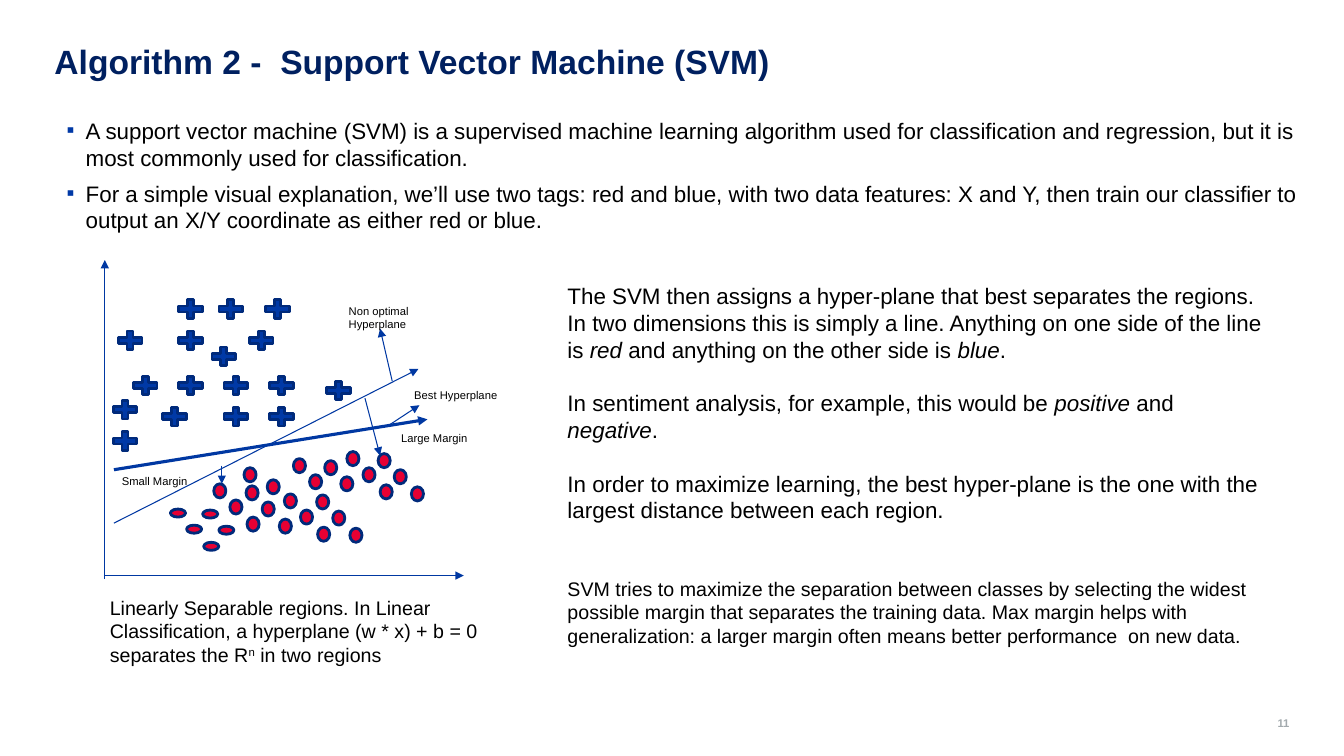
from lxml import etree
from pptx import Presentation
from pptx.dml.color import RGBColor
from pptx.enum.shapes import MSO_CONNECTOR, MSO_SHAPE
from pptx.enum.text import MSO_ANCHOR, MSO_AUTO_SIZE, PP_ALIGN
from pptx.oxml.ns import qn
from pptx.util import Pt

PX = 9144  # 100 px to the inch
STRAIGHT = MSO_CONNECTOR.STRAIGHT
PLUS, DOT = MSO_SHAPE.MATH_PLUS, MSO_SHAPE.FLOWCHART_CONNECTOR
TOP, MIDDLE, BOTTOM = MSO_ANCHOR.TOP, MSO_ANCHOR.MIDDLE, MSO_ANCHOR.BOTTOM
NO_AUTOFIT = MSO_AUTO_SIZE.NONE
LEFT, RIGHT = PP_ALIGN.LEFT, PP_ALIGN.RIGHT
FONT = "Arial"
COLORS = {
    "title": "002060", "text": "000000", "number": "A3AAAE", "bullet": "0039A6",
    "line": "0038A2", "blue": "0039A6", "red": "E70033", "outline": "002A7B",
}

BULLETS = [
    "A support vector machine (SVM) is a supervised machine learning algorithm used for "
    "classification and regression, but it is most commonly used for classification.",
    "For a simple visual explanation, we’ll use two tags: red and blue, with two data features: "
    "X and Y, then train our classifier to output an X/Y coordinate as either red or blue.",
]
# Each paragraph: space before in points, then its runs as (text, style)
EXPLANATION = [
    (0, [("The SVM then assigns a hyper-plane that best separates the regions.", "")]),
    (0, [("In two dimensions this is simply a line. Anything on one side of the line is ", ""),
         ("red", "italic"), (" and anything on the other side is ", ""),
         ("blue", "italic"), (".", "")]),
    (19, [("In sentiment analysis, for example, this would be ", ""), ("positive", "italic"),
          (" and ", ""), ("negative", "italic"), (".", "")]),
    (19, [("In order to maximize learning, the best hyper-plane is the one with the largest "
           "distance between each region.", "")]),
]
MARGIN_NOTE = [(0, [(
    "SVM tries to maximize the separation between classes by selecting the widest possible "
    "margin that separates the training data. Max margin helps with generalization: a larger "
    "margin often means better performance  on new data.", "")])]
CAPTION = [(0, [
    ("Linearly Separable regions. In Linear Classification, a hyperplane (w * x) + b = 0 "
     "separates the R", ""), ("n", "superscript"), (" in two regions", "")])]

# Plot parts, in px from the plot's top left corner
PLUS_ROWS = {
    44: [73, 113, 159], 75: [13, 73, 143], 91: [106], 120: [28, 73, 118, 163],
    125: [220], 144: [8], 151: [57, 118, 163], 175: [8],
}
# Diagonal runs of points: left, top, count
ROUND_RUNS = [
    (214, 241, 3), (182, 240, 3), (144, 232, 3), (112, 230, 3), (275, 200, 3),
    (244, 198, 3), (142, 214, 1), (222, 207, 2), (165, 226, 1), (191, 205, 2),
]
FLAT_RUNS = [(101, 256, 2), (69, 255, 3)]
ARROWS = [
    (3, 321, 360, 321, 0.75), (4, 324, 4, 8, 0.75),          # axes
    (13, 269, 315, 116, 0.75), (13, 216, 324, 166, 2.25),    # hyperplanes
    (262, 145, 277, 202, 0.75), (120, 212, 120, 230, 0.75),  # margins
    (284, 173, 316, 152, 0.75), (289, 128, 277, 76, 0.75),   # label pointers
]
LABELS = [
    ("Large Margin", 288, 173, 118, 24), ("Best Hyperplane", 301, 130, 118, 24),
    ("Small Margin", 11, 216, 86, 24), ("Non optimal Hyperplane", 236, 47, 118, 37),
]


def rgb(name):
    return RGBColor.from_string(COLORS[name])


def emu(*lengths):
    return [length * PX for length in lengths]


def add_span(para, text, size, color="text", bold=False, style=""):
    span = para.add_run()
    span.text = text
    font = span.font
    font.name, font.size, font.bold = FONT, Pt(size), bold
    font.italic = style == "italic"
    font.color.rgb = rgb(color)
    if style == "superscript":
        span._r.get_or_add_rPr().set("baseline", "30000")


def set_frame(shape, anchor, insets=(10, 5)):
    frame = shape.text_frame
    frame.word_wrap = True
    frame.auto_size = NO_AUTOFIT
    frame.vertical_anchor = anchor
    frame.margin_left = frame.margin_right = insets[0] * PX
    frame.margin_top = frame.margin_bottom = insets[1] * PX
    return frame


def place(shape, box):
    shape.left, shape.top, shape.width, shape.height = emu(*box)


def next_para(frame, index):
    return frame.add_paragraph() if index else frame.paragraphs[0]


def add_text(page, box, paragraphs, size):
    frame = set_frame(page.shapes.add_textbox(*emu(*box)), TOP)
    for index, (space, runs) in enumerate(paragraphs):
        para = next_para(frame, index)
        para.space_before = Pt(space)
        for text, style in runs:
            add_span(para, text, size, style=style)


def add_title(page, box):
    title = page.shapes.title
    place(title, box)
    para = set_frame(title, BOTTOM, (0, 0)).paragraphs[0]
    para.alignment, para.line_spacing = LEFT, 0.9
    add_span(para, "Algorithm 2 -  Support Vector Machine (SVM)", 24, "title", True)


def add_bullet(para, indent):
    props = para._p.get_or_add_pPr()
    props.set("marL", str(indent * PX))
    props.set("indent", str(-indent * PX))
    color = etree.SubElement(props, qn("a:buClr"))
    etree.SubElement(color, qn("a:srgbClr")).set("val", COLORS["bullet"])
    etree.SubElement(props, qn("a:buFont")).set("typeface", FONT)
    etree.SubElement(props, qn("a:buChar")).set("char", "▪")


def add_bullets(page, box):
    body = page.placeholders[1]
    place(body, box)
    frame = set_frame(body, TOP, (0, 0))
    for index, text in enumerate(BULLETS):
        para = next_para(frame, index)
        add_bullet(para, 19)
        para.space_before = Pt(6.5 if index else 0)
        add_span(para, text, 16)


def add_point(page, kind, box, fill):
    point = page.shapes.add_shape(kind, *emu(*box))
    point.shadow.inherit = False
    point.fill.solid()
    point.fill.fore_color.rgb = rgb(fill)
    point.line.color.rgb = rgb("outline")
    point.line.width = Pt(2)


def add_arrow(page, ends, width):
    arrow = page.shapes.add_connector(STRAIGHT, *emu(*ends))
    arrow.line.color.rgb = rgb("line")
    arrow.line.width = Pt(width)
    etree.SubElement(arrow.line._get_or_add_ln(), qn("a:tailEnd")).set("type", "triangle")
    etree.SubElement(arrow._element.spPr, qn("a:effectLst"))


def add_plot(page, left, top):
    for y, columns in PLUS_ROWS.items():
        for x in columns:
            add_point(page, PLUS, (left + x, top + y, 32, 25), "blue")
    for runs, width, height in ((ROUND_RUNS, 12, 14), (FLAT_RUNS, 15, 8)):
        for x, y, count in runs:
            for step in range(count):
                shift = step * 33 // 2
                box = (left + x + shift, top + y + shift, width, height)
                add_point(page, DOT, box, "red")
    for x1, y1, x2, y2, width in ARROWS:
        add_arrow(page, (left + x1, top + y1, left + x2, top + y2), width)
    for text, x, y, width, height in LABELS:
        add_text(page, (left + x, top + y, width, height), [(0, [(text, "")])], 8)


def add_page_number(page, box):
    frame = set_frame(page.shapes.add_textbox(*emu(*box)), MIDDLE, (0, 0))
    para = frame.paragraphs[0]
    para.alignment = RIGHT
    add_span(para, "11", 8, "number", True)


def main():
    deck = Presentation()
    deck.slide_width, deck.slide_height = emu(1333, 750)
    page = deck.slides.add_slide(deck.slide_layouts[1])
    add_title(page, (54, 45, 1200, 36))
    add_bullets(page, (66, 116, 1233, 476))
    add_plot(page, 100, 250)
    add_text(page, (99, 586, 389, 81), CAPTION, 14)
    add_text(page, (553, 275, 715, 252), EXPLANATION, 16)
    add_text(page, (553, 567, 715, 81), MARGIN_NOTE, 14)
    add_page_number(page, (1109, 712, 170, 10))
    deck.save("out.pptx")


if __name__ == "__main__":
    main()
